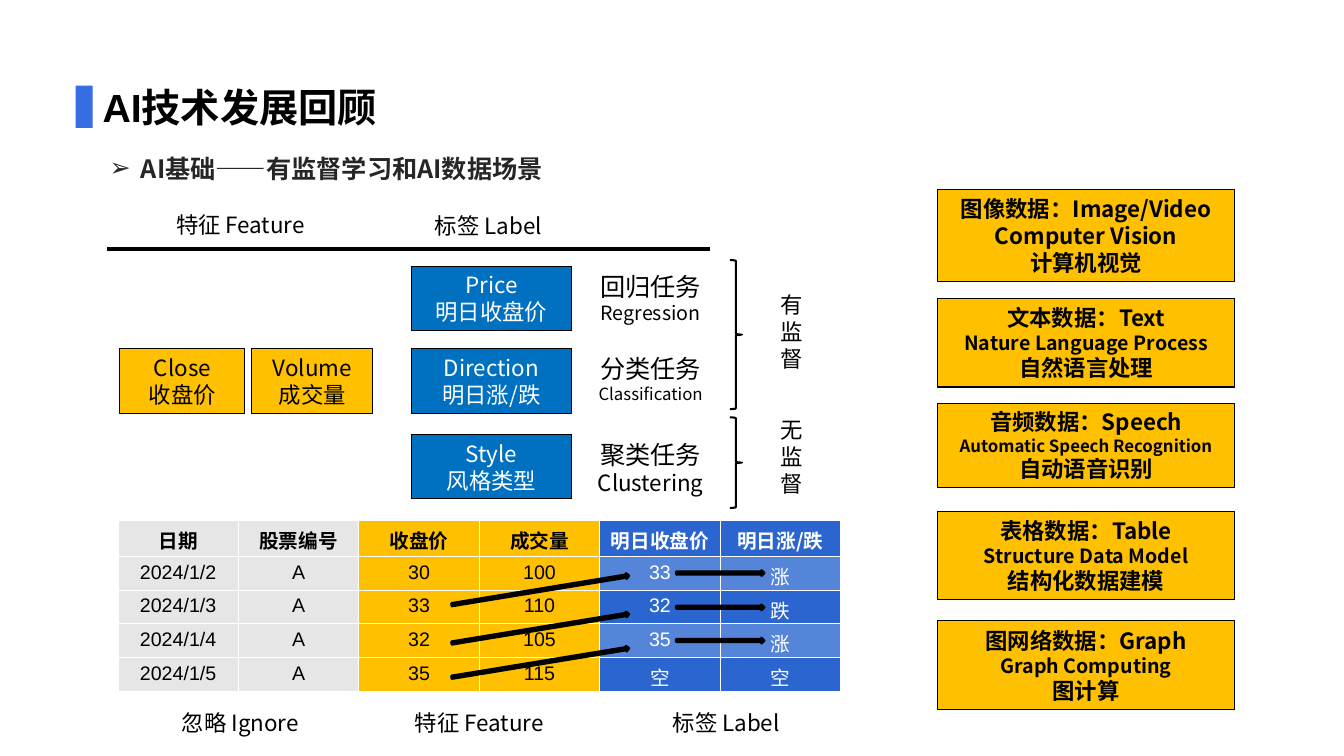
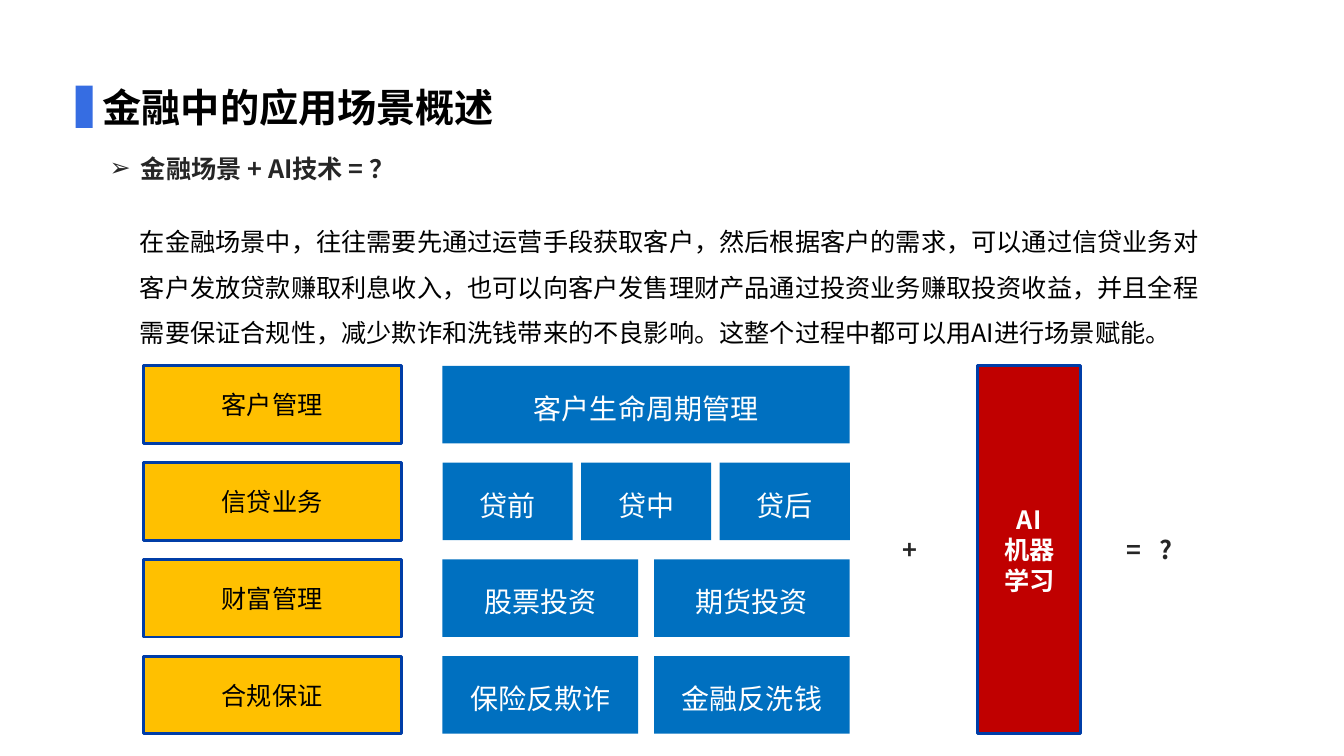
from lxml import etree
from pptx import Presentation
from pptx import util as u
from pptx.dml import color
from pptx.enum import shapes, text
from pptx.oxml import ns

# Shared style: the grid has ten columns and ten rows to the inch
CELL = 0.1
SLIDE_COLS, SLIDE_ROWS = 133.33, 75
SANS, ARIAL = "Noto Sans CJK SC", "Arial"
BLACK, WHITE, INK = "000000", "FFFFFF", "262626"
MARK, GOLD, BLUE, RED, NAVY = "366DE2", "FFC000", "0070C0", "C00000", "003DA7"
GREY, LABEL, LABEL_LIGHT = "E7E6E6", "2B66D0", "5585D9"
CENTER, LEFT = text.PP_ALIGN.CENTER, text.PP_ALIGN.LEFT
MIDDLE, TOP = text.MSO_ANCHOR.MIDDLE, text.MSO_ANCHOR.TOP
SHAPE = shapes.MSO_SHAPE


def rgb(value):
    return color.RGBColor.from_string(value)


def grid(*cells):
    return [u.Inches(cell * CELL) for cell in cells]


def add_element(parent, tag, **attributes):
    values = {name: str(value) for name, value in attributes.items()}
    return etree.SubElement(parent, ns.qn(tag), values)


def write(frame, lines, *, size=16, font=SANS, ink=BLACK, bold=False,
          align=CENTER, spacing=None, bullet=None, tab=None):
    """Fill a text frame; a line is a string or a (string, size) pair."""
    lines = [lines] if isinstance(lines, str) else lines
    for index, line in enumerate(lines):
        words, points = (line, size) if isinstance(line, str) else line
        para = frame.paragraphs[0] if index == 0 else frame.add_paragraph()
        para.alignment = align
        if spacing:
            para.line_spacing = spacing
        properties = para._p.get_or_add_pPr()
        if bullet:
            indent = u.Inches(0.31)
            properties.set("marL", str(indent))
            properties.set("indent", str(-indent))
            add_element(properties, "a:buFont", typeface=ARIAL)
            add_element(properties, "a:buChar", char=bullet)
        if tab:
            stops = add_element(properties, "a:tabLst")
            add_element(stops, "a:tab", pos=grid(tab)[0], algn="l")
        span = para.add_run()
        span.text = words
        span.font.size = u.Pt(points)
        span.font.name = font
        span.font.bold = bold
        span.font.color.rgb = rgb(ink)
        add_element(span._r.get_or_add_rPr(), "a:ea", typeface=SANS)


class Deck:
    def __init__(self):
        self.deck = Presentation()
        self.deck.slide_width, self.deck.slide_height = grid(SLIDE_COLS, SLIDE_ROWS)
        self.page = None

    def new_page(self, title, topic, title_font=SANS):
        self.page = self.deck.slides.add_slide(self.deck.slide_layouts[6])
        self.shape((7.5, 8.5, 1.7, 4.2), fill=MARK)
        self.label((9.2, 7.8, 72, 5.4), title, size=28, font=title_font,
                   bold=True, align=LEFT)
        self.label((9.9, 14.7, 56, 4), topic, size=18, ink=INK, bold=True,
                   align=LEFT, bullet="➢")

    def shape(self, at, lines=(), *, kind=SHAPE.RECTANGLE, fill=None,
              line=None, weight=0.75, turn=0, **style):
        box = self.page.shapes.add_shape(kind, *grid(*at))
        box.shadow.inherit = False
        box.rotation = turn
        if fill:
            box.fill.solid()
            box.fill.fore_color.rgb = rgb(fill)
        else:
            box.fill.background()
        if line:
            box.line.color.rgb = rgb(line)
            box.line.width = u.Pt(weight)
        else:
            box.line.fill.background()
        box.text_frame.word_wrap = True
        box.text_frame.vertical_anchor = MIDDLE
        write(box.text_frame, lines, **style)

    def label(self, at, lines, **style):
        frame = self.page.shapes.add_textbox(*grid(*at)).text_frame
        frame.word_wrap = True
        frame.vertical_anchor = TOP
        write(frame, lines, **style)

    def rule(self, start, end, weight):
        line = self.page.shapes.add_connector(
            shapes.MSO_CONNECTOR.STRAIGHT, *grid(*start, *end))
        line.line.color.rgb = rgb(BLACK)
        line.line.width = u.Pt(weight)
        add_element(line._element.spPr, "a:effectLst")

    def table(self, at, rows, head_height, cell_style):
        body_height = (at[3] - head_height) / (len(rows) - 1)
        table = self.page.shapes.add_table(len(rows), len(rows[0]), *grid(*at)).table
        table.first_row = table.horz_banding = False
        for r, row in enumerate(rows):
            table.rows[r].height = grid(body_height if r else head_height)[0]
            for c, words in enumerate(row):
                cell = table.cell(r, c)
                fill, style = cell_style(r, c)
                cell.fill.solid()
                cell.fill.fore_color.rgb = rgb(fill)
                write(cell.text_frame, words, size=14, **style)


def stock_cell(row, column):
    """Fill and text format: ignored, feature and label column pairs."""
    style = {"font": ARIAL, "bold": row == 0}
    if column < 4:
        return (GREY if column < 2 else GOLD), style
    style["ink"] = WHITE
    if row == 0:
        style["font"] = SANS
    return (LABEL_LIGHT if row % 2 else LABEL), style


def review_page(deck):
    deck.new_page("AI技术发展回顾", "AI基础——有监督学习和AI数据场景", ARIAL)

    # Features, labels and tasks
    for left, top, words in [(9.2, 20.5, "特征 Feature"), (33.8, 20.6, "标签 Label"),
                             (9.2, 69.9, "忽略 Ignore"), (32.9, 69.9, "特征 Feature"),
                             (57.4, 69.9, "标签 Label")]:
        deck.label((left, top, 29.3, 3.7), words)
    deck.rule((10.6, 24.7), (70.4, 24.7), 2.25)
    for left, width, lines in [(11.9, 12.4, ["Close", "收盘价"]),
                               (25, 12, ["Volume", "成交量"])]:
        deck.shape((left, 34.6, width, 6.4), lines, fill=GOLD, line=BLACK)
    for top, target, task in [
            (26.4, ["Price", "明日收盘价"], ["回归任务", ("Regression", 14)]),
            (34.6, ["Direction", "明日涨/跌"], ["分类任务", ("Classification", 12)]),
            (43.1, ["Style", "风格类型"], ["聚类任务", ("Clustering", 16)])]:
        deck.shape((40.8, top, 15.9, 6.4), target, fill=BLUE, line=BLACK, ink=WHITE)
        deck.label((56.7, top, 15.7, 6.4), task, size=18)
    for top, height, label_top, words in [(25.8, 14.8, 28.4, "有监督"),
                                          (41.4, 9, 40.8, "无监督")]:
        deck.shape((72.4, top, 1.2, height), kind=SHAPE.RIGHT_BRACE,
                   line=BLACK, weight=1.5)
        deck.label((76.4, label_top, 3, 9.1), words)

    # Stock table, with arrows from each close to the label of the day before
    deck.table((11.7, 51.6, 71.7, 17), [
        ["日期", "股票编号", "收盘价", "成交量", "明日收盘价", "明日涨/跌"],
        ["2024/1/2", "A", "30", "100", "33", "涨"],
        ["2024/1/3", "A", "33", "110", "32", "跌"],
        ["2024/1/4", "A", "32", "105", "35", "涨"],
        ["2024/1/5", "A", "35", "115", "空", "空"],
    ], 3.6, stock_cell)
    for slanted_top, level_top in [(58.3, 56.6), (62.1, 60), (65.5, 63.3)]:
        for left, top, width, turn in [(44.7, slanted_top, 17.8, 350.7),
                                       (67.1, level_top, 8.7, 0)]:
            deck.shape((left, top, width, 0.5), kind=SHAPE.RIGHT_ARROW,
                       fill=BLUE, line=BLACK, weight=2, turn=turn)

    # Data scenarios
    for top, height, lines in [
            (18.8, 9.1, ["图像数据：Image/Video", "Computer Vision", "计算机视觉"]),
            (29.6, 8.8, ["文本数据：Text", ("Nature Language Process", 14), "自然语言处理"]),
            (40, 8.4, ["音频数据：Speech", ("Automatic Speech Recognition", 12),
                       "自动语音识别"]),
            (50.7, 8.8, ["表格数据：Table", ("Structure Data Model", 14), "结构化数据建模"]),
            (61.6, 8.8, ["图网络数据：Graph", ("Graph Computing", 14), "图计算"])]:
        deck.shape((93, top, 29.5, height), lines, fill=GOLD, line=BLACK, bold=True)


def finance_page(deck):
    deck.new_page("金融中的应用场景概述", "金融场景 + AI技术 = ？")
    deck.label((12.9, 20.5, 108.3, 14.1),
               "在金融场景中，往往需要先通过运营手段获取客户，然后根据客户的需求，"
               "可以通过信贷业务对客户发放贷款赚取利息收入，也可以向客户发售理财产品"
               "通过投资业务赚取投资收益，并且全程需要保证合规性，减少欺诈和洗钱带来的"
               "不良影响。这整个过程中都可以用AI进行场景赋能。",
               size=18, align=LEFT, spacing=1.5)

    # Business lines, each split into equal scenarios
    top, step, height = 36.3, 9.6, 7.7
    left, width = 43.9, 40.4
    for index, (business, gap, scenarios) in enumerate([
            ("客户管理", 0, ["客户生命周期管理"]),
            ("信贷业务", 0.85, ["贷前", "贷中", "贷后"]),
            ("财富管理", 1.6, ["股票投资", "期货投资"]),
            ("合规保证", 1.6, ["保险反欺诈", "金融反洗钱"])]):
        row = top + index * step
        deck.shape((14.2, row, 25.6, height), business, fill=GOLD, line=NAVY,
                   weight=2, size=18)
        pitch = (width + gap) / len(scenarios)
        for place, scenario in enumerate(scenarios):
            deck.shape((left + place * pitch, row, pitch - gap, height), scenario,
                       fill=BLUE, size=20, ink=WHITE, spacing=1.2)

    # Sum with machine learning
    deck.shape((97, top, 10.2, 3 * step + height), ["AI", "机器", "学习"], fill=RED,
               line=NAVY, weight=2, size=18, ink=WHITE, bold=True)
    sign = {"size": 18, "ink": INK, "bold": True, "align": LEFT}
    deck.label((88.5, 52.5, 5.1, 4), "+", **sign)
    deck.label((110.8, 52.5, 10.7, 4), "=\t?", tab=3.2, **sign)


def main():
    deck = Deck()
    review_page(deck)
    finance_page(deck)
    deck.deck.save("out.pptx")


if __name__ == "__main__":
    main()
